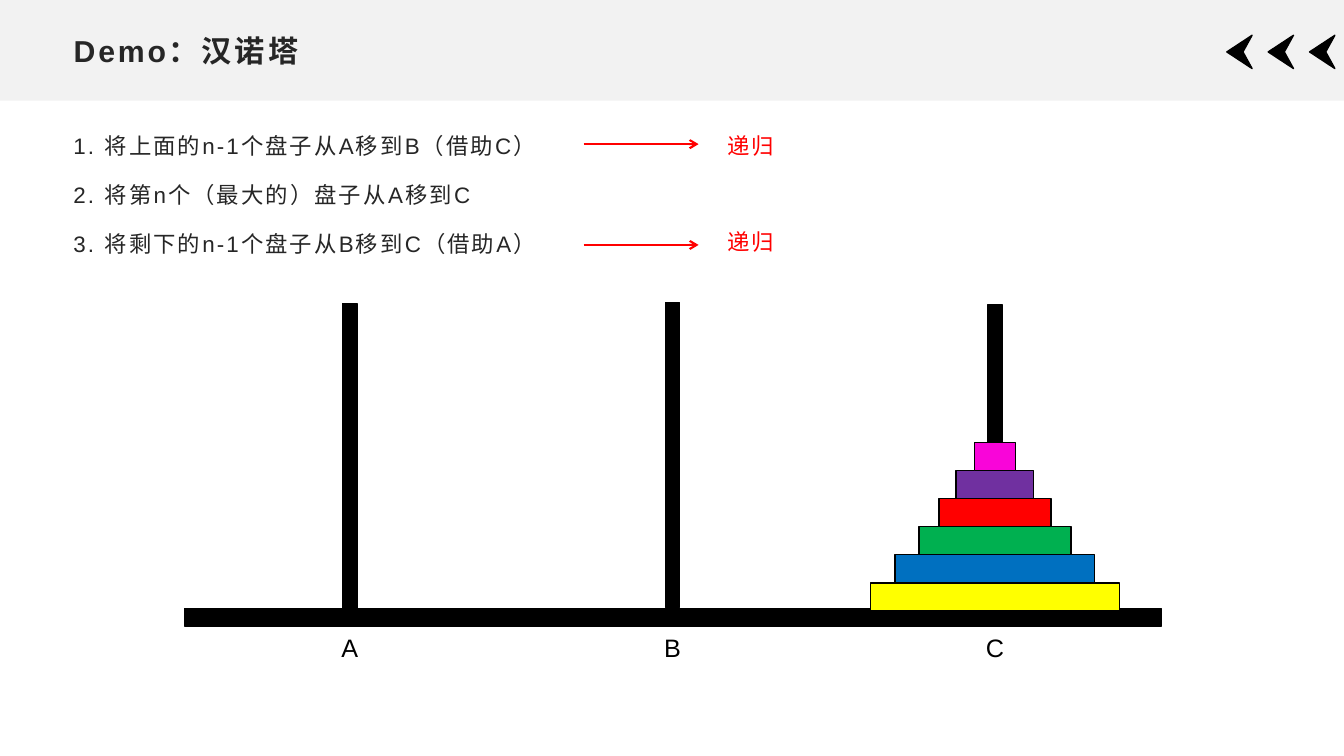
from dataclasses import dataclass

from lxml.etree import SubElement
from pptx import Presentation
from pptx.dml.color import RGBColor
from pptx.enum.shapes import MSO_CONNECTOR as Connector, MSO_SHAPE as Shape
from pptx.enum.text import MSO_ANCHOR as Anchor, PP_ALIGN as Align
from pptx.oxml.ns import qn
from pptx.util import Inches, Pt

WIDTH, HEIGHT = Inches(13.333), Inches(7.5)


@dataclass(frozen=True)
class Theme:
    font: str = "Arial"
    title_size: float = 21.6
    body_size: float = 16
    label_size: float = 18
    ink: str = "262626"
    black: str = "000000"
    accent: str = "FF0000"
    band: str = "F2F2F2"


THEME = Theme()
MARGIN = 4.73
TEXT_TOP = 15.73
POLE_CENTERS = [26.03 + 24 * index for index in range(3)]
POLE_TOPS = [40.13, 40, 40.27]
DISK_HEIGHT = 3.71
DISKS = [
    (18.53, "FFFF00"),
    (14.85, "0070C0"),
    (11.33, "00B050"),
    (8.33, "FF0000"),
    (5.78, "7030A0"),
    (3.08, "F905D9"),
]
STEPS = [
    "1. 将上面的n-1个盘子从A移到B（借助C）",
    "2. 将第n个（最大的）盘子从A移到C",
    "3. 将剩下的n-1个盘子从B移到C（借助A）",
]


def across(share):
    return round(WIDTH * share / 100)


def down(share):
    return round(HEIGHT * share / 100)


def area(left, top, width, height):
    return across(left), down(top), across(width), down(height)


def paint(shape, color, line=THEME.black):
    shape.shadow.inherit = False
    shape.fill.solid()
    shape.fill.fore_color.rgb = RGBColor.from_string(color)
    if line:
        shape.line.color.rgb = RGBColor.from_string(line)
        shape.line.width = Pt(1)
    else:
        shape.line.fill.background()


def add_bar(page, place, color, line=THEME.black):
    paint(page.shapes.add_shape(Shape.RECTANGLE, *area(*place)), color, line)


def add_chevron(page, tip):
    tail, notch = tip + 1.88, tip + 1.2
    points = [(tip, 6.87), (tail, 4.67), (notch, 6.87), (tail, 9.07)]
    start, *rest = [(across(x), down(y)) for x, y in points]
    builder = page.shapes.build_freeform(*start)
    builder.add_line_segments(rest, close=True)
    paint(builder.convert_to_shape(), THEME.black)


def write(para, text, size, color, tracking=0, align=Align.LEFT, bold=False):
    para.alignment = align
    para.font.name = THEME.font
    para.font.size = Pt(size)
    para.font.bold = bold
    para.font.color.rgb = RGBColor.from_string(color)
    span = para.add_run()
    span.text = text
    if tracking:
        span._r.get_or_add_rPr().set("spc", str(round(tracking * 100)))


def add_title(page, text):
    title = page.shapes.title
    title.left, title.top, title.width, title.height = area(MARGIN, 3.47, 90.53, 6.4)
    frame = title.text_frame
    frame.vertical_anchor = Anchor.MIDDLE
    write(frame.paragraphs[0], text, THEME.title_size, THEME.ink, 2, bold=True)
    page.shapes._spTree.append(title._element)


def add_text(page, place, lines, color, gap):
    frame = page.shapes.add_textbox(*area(*place)).text_frame
    frame.word_wrap = True
    for index, line in enumerate(lines):
        para = frame.add_paragraph() if index else frame.paragraphs[0]
        para.line_spacing = 1.3
        para.space_after = Pt(gap)
        write(para, line, THEME.body_size, color, 1.5)


def add_label(page, center, text):
    box = page.shapes.add_textbox(*area(center - 1.54, 82.93, 3.08, 5.33))
    box.text_frame.word_wrap = True
    write(box.text_frame.paragraphs[0], text, THEME.label_size, THEME.black,
          align=Align.CENTER)


def add_arrow(page, row):
    arrow = page.shapes.add_connector(
        Connector.STRAIGHT, across(43.43), down(row), across(51.98), down(row))
    arrow.line.color.rgb = RGBColor.from_string(THEME.accent)
    arrow.line.width = Pt(1.5)
    SubElement(arrow.line._get_or_add_ln(), qn("a:tailEnd"), type="arrow")
    SubElement(arrow._element.spPr, qn("a:effectLst"))


def add_tower(page):
    for center, top, name in zip(POLE_CENTERS, POLE_TOPS, "ABC"):
        add_bar(page, (center - 0.53, top, 1.06, 40.4), THEME.black)
        add_label(page, center, name)
    add_bar(page, (13.73, 80.53, 72.68, 2.27), THEME.black)
    for level, (width, color) in enumerate(DISKS, start=1):
        place = (POLE_CENTERS[-1] - width / 2, 80.8 - level * DISK_HEIGHT,
                 width, DISK_HEIGHT)
        add_bar(page, place, color)


def main():
    deck = Presentation()
    deck.slide_width, deck.slide_height = WIDTH, HEIGHT
    page = deck.slides.add_slide(deck.slide_layouts[5])
    add_bar(page, (0, 0, 100, 13.33), THEME.band, None)
    for index in range(3):
        add_chevron(page, 91.28 + 3.08 * index)
    add_title(page, "Demo：汉诺塔")
    add_tower(page)
    add_text(page, (MARGIN, TEXT_TOP, 37.28, 20.13), STEPS, THEME.ink, 10)
    for row in (19.07, 32.4):
        add_arrow(page, row)
    add_text(page, (53.4, TEXT_TOP, 5.55, 20.13), ["递归"] * 2, THEME.accent, 44)
    deck.save("out.pptx")


if __name__ == "__main__":
    main()
